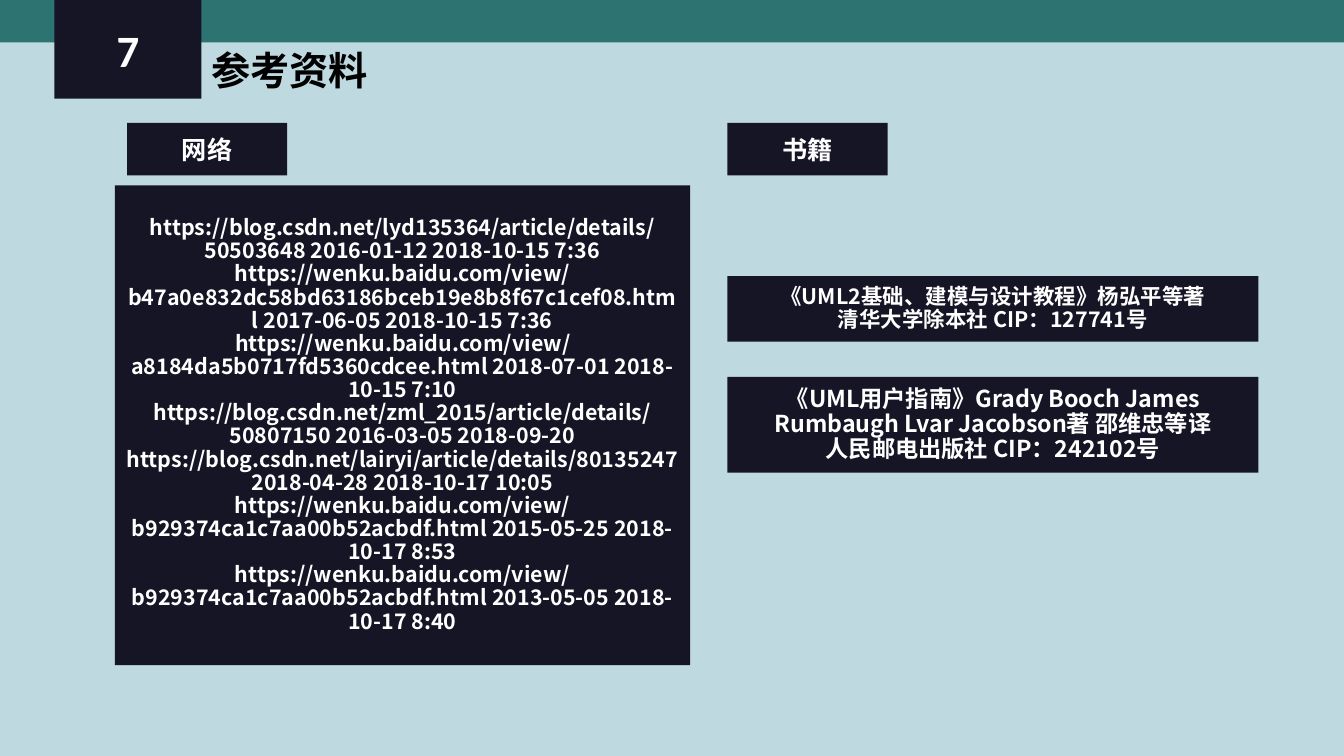
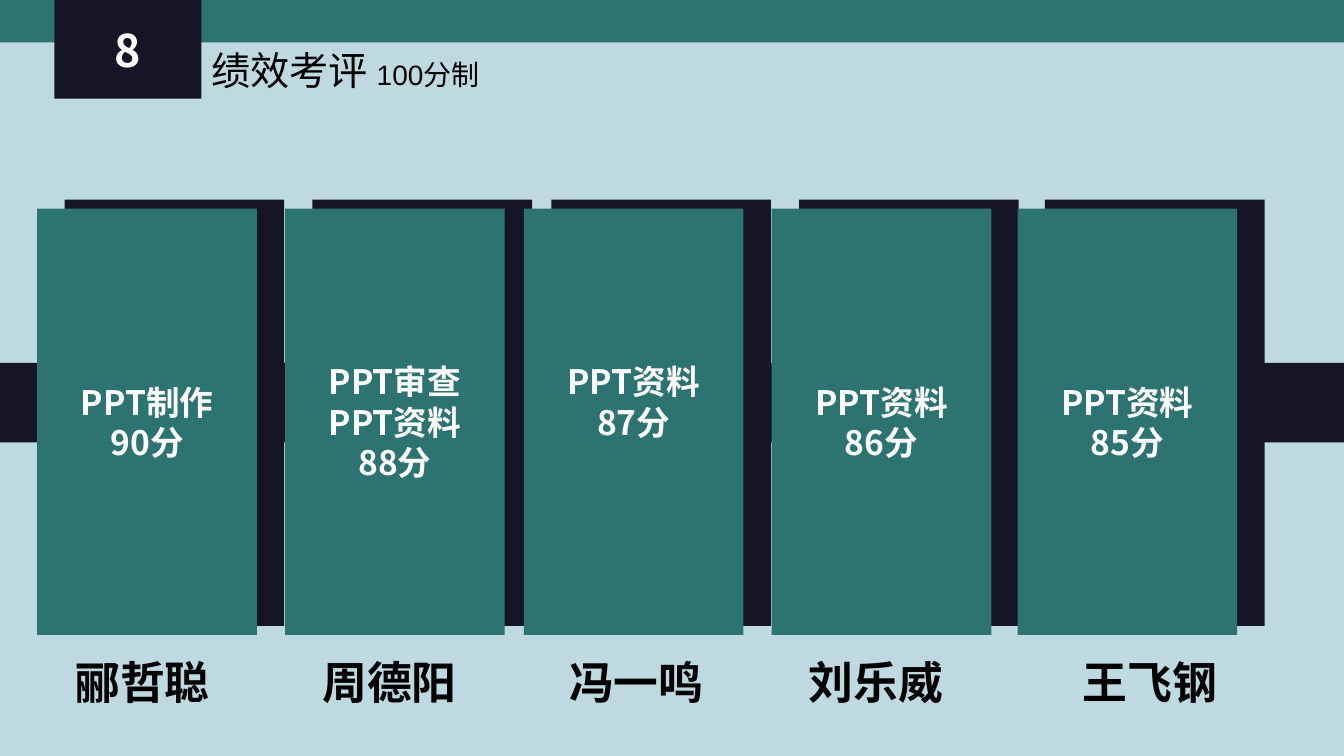
from lxml.etree import SubElement
from pptx import Presentation
from pptx.dml.color import RGBColor
from pptx.enum.shapes import MSO_SHAPE as SHAPE
from pptx.enum.text import MSO_ANCHOR as ANCHOR, PP_ALIGN as ALIGN
from pptx.oxml.ns import qn
from pptx.util import Inches, Pt

TEAL, NAVY, SKY, WHITE, BLACK = "2C7371", "161525", "BED9E0", "FFFFFF", "000000"
CJK = "Noto Sans CJK SC"

WEB_SOURCES = [
    "https://blog.csdn.net/lyd135364/article/details/50503648 2016-01-12 2018-10-15 7:36",
    "https://wenku.baidu.com/view/b47a0e832dc58bd63186bceb19e8b8f67c1cef08.html 2017-06-05 2018-10-15 7:36",
    "https://wenku.baidu.com/view/a8184da5b0717fd5360cdcee.html 2018-07-01 2018-10-15 7:10",
    "https://blog.csdn.net/zml_2015/article/details/50807150 2016-03-05 2018-09-20",
    "https://blog.csdn.net/lairyi/article/details/80135247 2018-04-28 2018-10-17 10:05",
    "https://wenku.baidu.com/view/b929374ca1c7aa00b52acbdf.html 2015-05-25 2018-10-17 8:53",
    "https://wenku.baidu.com/view/b929374ca1c7aa00b52acbdf.html 2013-05-05 2018-10-17 8:40",
]
# top, height, text size, lines
BOOKS = [
    (36.53, 8.67, 15.3, ["《UML2基础、建模与设计教程》杨弘平等著",
                         "清华大学除本社 CIP：127741号"]),
    (49.87, 12.67, 16.6, ["《UML用户指南》Grady Booch James Rumbaugh Lvar Jacobson著 邵维忠等译",
                          "人民邮电出版社 CIP：242102号"]),
]
# card left, name left, name, card lines, bottom inset
MEMBERS = [
    (2.77, 4.87, "郦哲聪", ["PPT制作", "90分"], 0.05),
    (21.21, 23.24, "周德阳", ["PPT审查", "PPT资料", "88分"], 0.05),
    (38.98, 41.6, "冯一鸣", ["PPT资料", "87分"], 0.45),
    (57.42, 59.45, "刘乐威", ["PPT资料", "86分"], 0.05),
    (75.71, 79.84, "王飞钢", ["PPT资料", "85分"], 0.05),
]


def rgb(color):
    return RGBColor.from_string(color)


def write(tf, lines, size, font=CJK, color=WHITE, bold=True, align=ALIGN.CENTER,
          spacing=None):
    """Fill a frame; a line is a string or a list of (text, size) runs."""
    tf.word_wrap = True
    for i, line in enumerate(lines):
        p = tf.add_paragraph() if i else tf.paragraphs[0]
        p.alignment, p.line_spacing = align, spacing
        for text, run_size in [(line, size)] if isinstance(line, str) else line:
            r = p.add_run()
            r.text = text
            r.font.name, r.font.size, r.font.bold = font, Pt(run_size), bold
            r.font.color.rgb = rgb(color)
            SubElement(r._r.get_or_add_rPr(), qn("a:ea"), typeface=CJK)


class Deck:
    """Places elements on the current slide in percent of its size."""

    def __init__(self):
        self.prs = Presentation()
        self.prs.slide_width, self.prs.slide_height = Inches(13.34), Inches(7.5)

    def place(self, x, y, w, h):
        sx, sy = self.prs.slide_width / 100, self.prs.slide_height / 100
        return int(x * sx), int(y * sy), int(w * sx), int(h * sy)

    def slide(self, number, title, number_font=CJK, bold=True):
        self.s = self.prs.slides.add_slide(self.prs.slide_layouts[6])
        self.s.background.fill.solid()
        self.s.background.fill.fore_color.rgb = rgb(SKY)
        self.block(0, 0, 100, 5.6, TEAL)
        self.block(4.05, 0, 10.94, 13.07, lines=[number], size=32, font=number_font)
        self.label(15, 5.47, 48, 7.6, title, size=28, font="Arial", bold=bold)

    def block(self, x, y, w, h, fill=NAVY, lines=(), bottom=0.05, **style):
        sp = self.s.shapes.add_shape(SHAPE.RECTANGLE, *self.place(x, y, w, h))
        sp.shadow.inherit = False
        sp.fill.solid()
        sp.fill.fore_color.rgb = rgb(fill)
        sp.line.fill.background()
        if lines:
            tf = sp.text_frame
            tf.vertical_anchor, tf.margin_bottom = ANCHOR.MIDDLE, Inches(bottom)
            write(tf, lines, **style)

    def label(self, x, y, w, h, line, **style):
        tf = self.s.shapes.add_textbox(*self.place(x, y, w, h)).text_frame
        write(tf, [line], color=BLACK, align=ALIGN.LEFT, **style)


def references(deck):
    deck.slide("7", "参考资料", number_font="Calibri")
    book_left = 54.12
    for x, heading in ((9.45, "网络"), (book_left, "书籍")):
        deck.block(x, 16.27, 11.92, 6.93, lines=[heading], size=18)
    deck.block(8.55, 24.53, 42.8, 63.47, lines=WEB_SOURCES, size=15.3, spacing=0.9)
    for y, h, size, lines in BOOKS:
        deck.block(book_left, y, 39.51, h, lines=lines, size=size, spacing=0.9)


def ratings(deck):
    deck.slide("8", [("绩效考评 ", 28), ("100分制", 20)], bold=False)
    deck.block(0, 48, 100, 10.53)
    card_w, card_h = 16.34, 56.4
    for x, name_x, name, lines, bottom in MEMBERS:
        deck.block(x + 2.04, 26.4, card_w, card_h)
        deck.block(x, 27.6, card_w, card_h, TEAL, lines, bottom, size=24)
        deck.label(name_x, 86, 12.22, 8.53, name, size=32, font="Calibri")


def main():
    deck = Deck()
    references(deck)
    ratings(deck)
    deck.prs.save("out.pptx")


if __name__ == "__main__":
    main()
